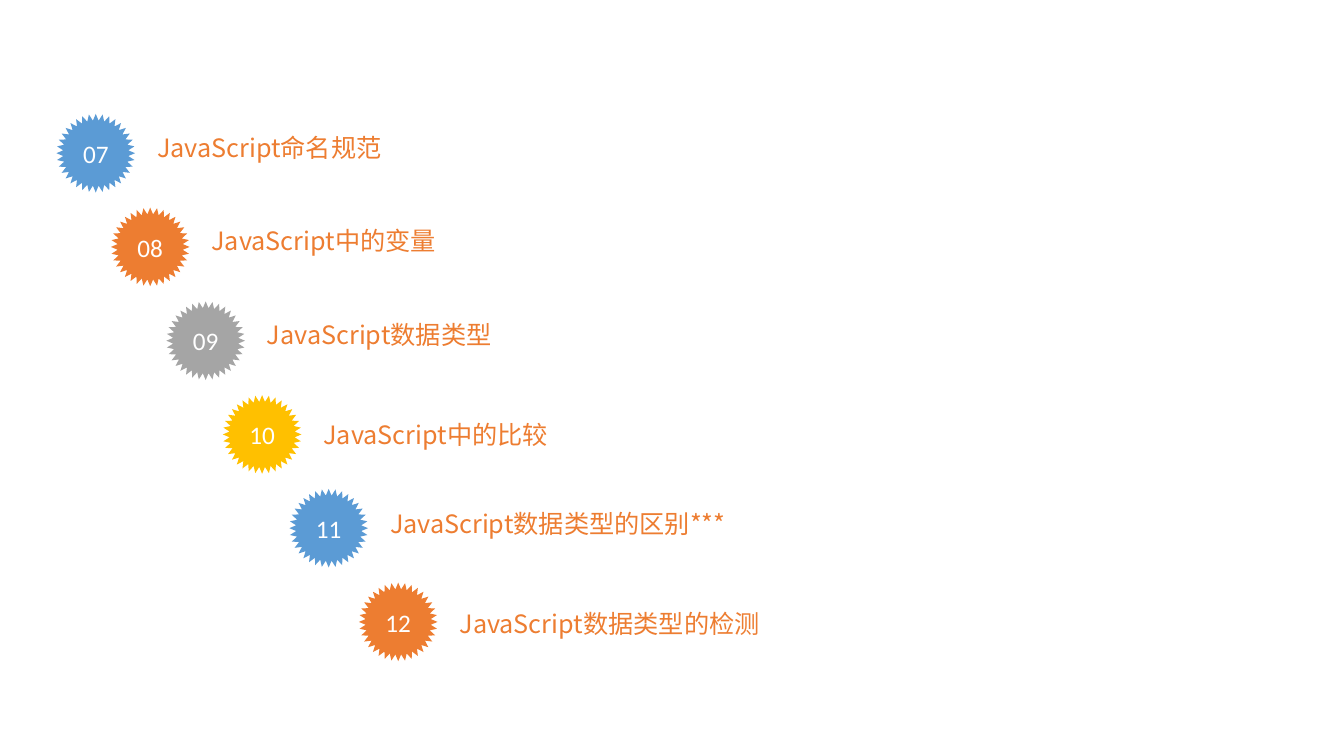
from math import cos, pi, sin

from pptx import Presentation
from pptx.dml.color import RGBColor
from pptx.enum.text import MSO_ANCHOR as Anchor, PP_ALIGN as Align
from pptx.util import Inches, Pt
from lxml.etree import SubElement
from pptx.oxml.ns import qn

# number, label, badge colour, badge left, drop from badge top to label top
TOPICS = [
    ("07", "JavaScript命名规范", "5B9BD5", 0.56, 0.13),
    ("08", "JavaScript中的变量", "ED7D31", 1.10, 0.13),
    ("09", "JavaScript数据类型", "A5A5A5", 1.65, 0.13),
    ("10", "JavaScript中的比较", "FFC000", 2.21, 0.19),
    ("11", "JavaScript数据类型的区别***", "5B9BD5", 2.87, 0.14),
    ("12", "JavaScript数据类型的检测", "ED7D31", 3.56, 0.21),
]
TOP, STEP = 1.13, 0.93
SIZE, TEETH, INNER = 0.78, 36, 0.83
GAP, WIDE, HIGH = 0.9, 7.44, 0.52
LABEL, WHITE = "ED7D31", "FFFFFF"
LATIN, HAN = "Calibri", "Noto Sans CJK SC"


def color(code):
    return RGBColor.from_string(code)


def write(frame, text, font, code, align, anchor):
    frame.word_wrap = True
    frame.vertical_anchor = anchor
    para = frame.paragraphs[0]
    para.alignment = align
    run = para.add_run()
    run.text = text
    run.font.size = Pt(18)
    run.font.name = font
    run.font.color.rgb = color(code)
    SubElement(run.font._element, qn("a:ea"), typeface=font)


def add_label(group, text, left, top):
    box = group.shapes.add_textbox(
        Inches(left), Inches(top), Inches(WIDE), Inches(HIGH))
    write(box.text_frame, text, HAN, LABEL, Align.LEFT, Anchor.TOP)


def add_badge(group, number, fill, left, top):
    """Draw a toothed disc with its number in the middle."""
    radius = SIZE / 2
    points = []
    for i in range(2 * TEETH):
        reach = radius * (INNER if i % 2 else 1)
        turn = pi * i / TEETH
        points.append((Inches(left + radius + reach * sin(turn)),
                       Inches(top + radius - reach * cos(turn))))
    pen = group.shapes.build_freeform(*points[0])
    pen.add_line_segments(points[1:], close=True)
    badge = pen.convert_to_shape()
    badge.shadow.inherit = False
    badge.fill.solid()
    badge.fill.fore_color.rgb = color(fill)
    badge.line.fill.background()
    write(badge.text_frame, number, LATIN, WHITE, Align.CENTER, Anchor.MIDDLE)


def main():
    deck = Presentation()
    deck.slide_width, deck.slide_height = Inches(13.33), Inches(7.5)
    slide = deck.slides.add_slide(deck.slide_layouts[6])
    for i, (number, text, fill, left, drop) in enumerate(TOPICS):
        top = TOP + i * STEP
        group = slide.shapes.add_group_shape()
        add_label(group, text, left + GAP, top + drop)
        add_badge(group, number, fill, left, top)
    deck.save("out.pptx")


if __name__ == "__main__":
    main()
